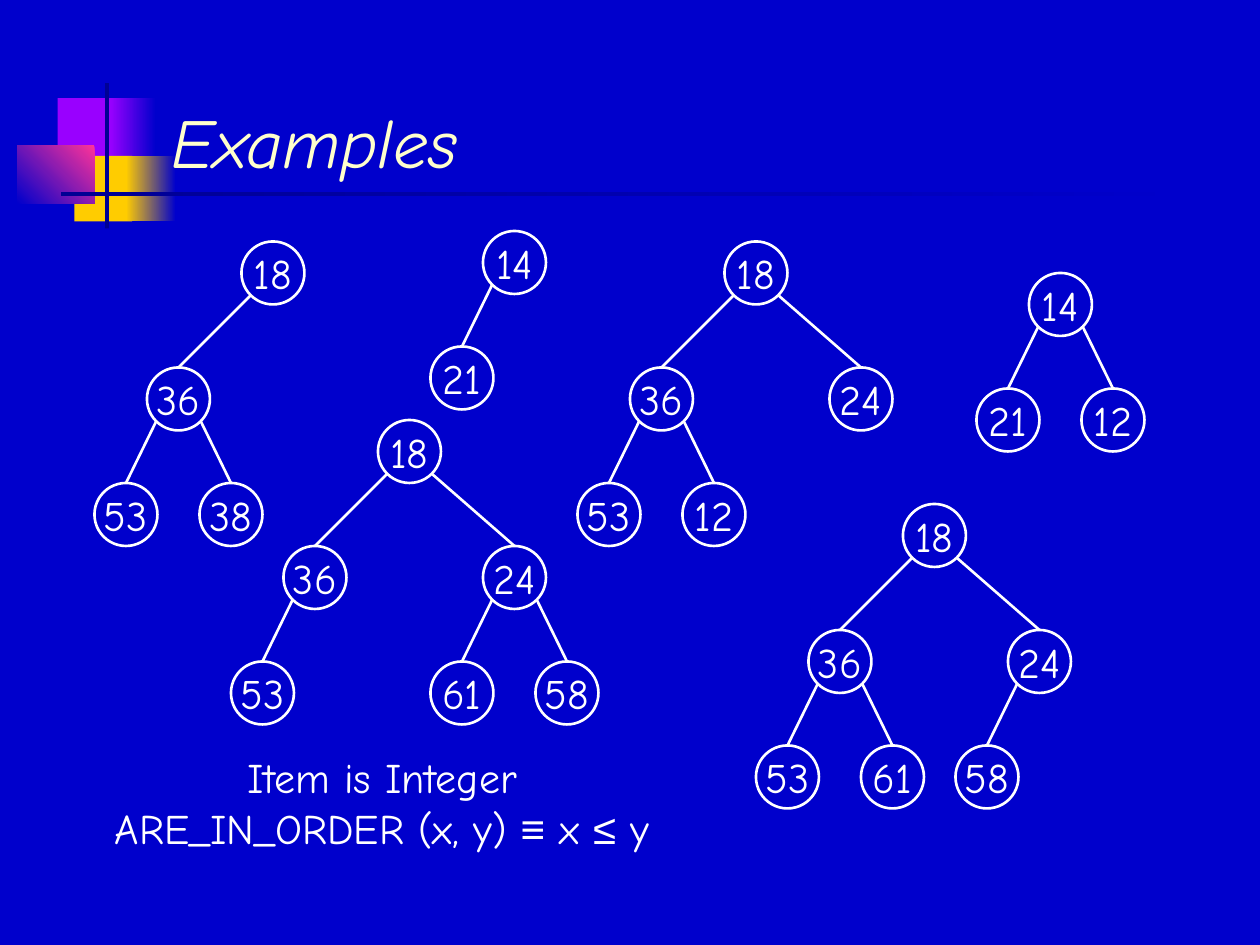
from dataclasses import dataclass
from itertools import groupby
from typing import Optional

from lxml.etree import SubElement
from pptx import Presentation
from pptx.dml.color import RGBColor
from pptx.enum.shapes import MSO_CONNECTOR, MSO_SHAPE
from pptx.enum.text import MSO_ANCHOR, MSO_AUTO_SIZE, PP_ALIGN
from pptx.oxml.ns import qn
from pptx.util import Pt

BLUE, NAVY, WHITE = "0000CC", "000094", "FFFFFF"
SIZE = 36
EDGE = 1.5
FOOT = SIZE / 2 * 0.5 ** 0.5


@dataclass
class Block:
    box: tuple
    fill: str
    fade: Optional[str] = None
    angle: int = 180


@dataclass
class Node:
    text: str
    left: Optional["Node"] = None
    right: Optional["Node"] = None

    def kids(self) -> list:
        return [kid for kid in (self.left, self.right) if kid]


@dataclass
class Tree:
    x: float
    y: float
    root: Node


BLOCKS = [
    Block((33, 56, 35, 37.5), "9900FF"),
    Block((63, 56, 26, 37.5), BLUE, "9900FF"),
    Block((42.5, 89, 33, 37.5), "FFCC00"),
    Block((72, 89, 28.5, 37.5), BLUE, "FFCC00"),
    Block((10, 83, 44, 33.5), "FF3399", BLUE, 225),
    Block((60, 47.5, 2.25, 83), NAVY),
    Block((35, 109.5, 648, 2.5), BLUE, NAVY),
]

TREES = [
    Tree(216, 240, Node("18", Node("36", Node("53")),
                        Node("24", Node("61"), Node("58")))),
    Tree(414, 138, Node("18", Node("36", Node("53"), Node("12")), Node("24"))),
    Tree(516, 288, Node("18", Node("36", Node("53"), Node("61")),
                        Node("24", Node("58")))),
    Tree(588, 156, Node("14", Node("21"), Node("12"))),
    Tree(138, 138, Node("18", Node("36", Node("53"), Node("38")))),
    Tree(276, 132, Node("14", Node("21"))),
]


def paint(code: str) -> RGBColor:
    return RGBColor.from_string(code)


def write(frame, text: str, *, size=24, color=WHITE, italic=False,
          align=PP_ALIGN.CENTER, anchor=MSO_ANCHOR.MIDDLE, wrap=False,
          fit=MSO_AUTO_SIZE.NONE) -> None:
    frame.word_wrap = wrap
    frame.auto_size = fit
    frame.vertical_anchor = anchor
    for i, line in enumerate(text.split("\n")):
        para = frame.add_paragraph() if i else frame.paragraphs[0]
        para.alignment = align
        for sign, part in groupby(line, lambda c: c in "≡≤"):
            run = para.add_run()
            run.text = "".join(part)
            font = run.font
            font.name = "Arial" if sign else "Comic Neue"
            font.size = Pt(size)
            font.italic = italic
            font.color.rgb = paint(color)


def draw_block(shapes, block: Block) -> None:
    shape = shapes.add_shape(MSO_SHAPE.RECTANGLE, *map(Pt, block.box))
    shape.shadow.inherit = False
    shape.line.fill.background()
    if block.fade is None:
        shape.fill.solid()
        shape.fill.fore_color.rgb = paint(block.fill)
        return
    shape.fill.gradient()
    shape.fill.gradient_angle = block.angle
    for stop, code in zip(shape.fill.gradient_stops, (block.fill, block.fade)):
        stop.color.rgb = paint(code)


def draw_node(shapes, node: Node, x: float, y: float):
    disc = shapes.add_shape(MSO_SHAPE.OVAL, Pt(x), Pt(y), Pt(SIZE), Pt(SIZE))
    disc.shadow.inherit = False
    disc.fill.background()
    disc.line.color.rgb = paint(WHITE)
    disc.line.width = Pt(EDGE)
    write(disc.text_frame, node.text)
    deep = any(kid.kids() for kid in node.kids())
    west, east, drop = (54, 60, 72) if deep else (30, 30, 66)
    for kid, side, step in ((node.left, -1, west), (node.right, 1, east)):
        if kid:
            child = draw_node(shapes, kid, x + side * step, y + drop)
            mid = SIZE / 2
            draw_edge(shapes, x + mid + side * FOOT, y + mid + FOOT, child)
    return disc


def draw_edge(shapes, x: float, y: float, child) -> None:
    edge = shapes.add_connector(MSO_CONNECTOR.STRAIGHT, Pt(x), Pt(y), Pt(x), Pt(y))
    edge.end_connect(child, 0)
    edge.line.color.rgb = paint(WHITE)
    edge.line.width = Pt(EDGE)
    SubElement(edge.element.spPr, qn("a:effectLst"))


def main() -> None:
    deck = Presentation()
    deck.slide_width, deck.slide_height = Pt(720), Pt(540)
    slide = deck.slides.add_slide(deck.slide_layouts[5])
    slide.background.fill.solid()
    slide.background.fill.fore_color.rgb = paint(BLUE)
    shapes = slide.shapes
    for block in BLOCKS:
        draw_block(shapes, block)

    title = shapes.title
    title.left, title.top, title.width, title.height = map(Pt, (91, 18, 613.5, 90))
    write(title.text_frame, "Examples", size=40, color="FFFFCC", italic=True,
          align=PP_ALIGN.LEFT, anchor=MSO_ANCHOR.BOTTOM, wrap=True)
    title.element.getparent().append(title.element)

    for tree in TREES:
        draw_node(shapes, tree.root, tree.x, tree.y)

    note = shapes.add_textbox(Pt(53), Pt(426), Pt(330.5), Pt(65))
    write(note.text_frame, "Item is Integer\nARE_IN_ORDER (x, y) ≡ x ≤ y",
          anchor=MSO_ANCHOR.TOP, fit=MSO_AUTO_SIZE.SHAPE_TO_FIT_TEXT)
    deck.save("out.pptx")


if __name__ == "__main__":
    main()
